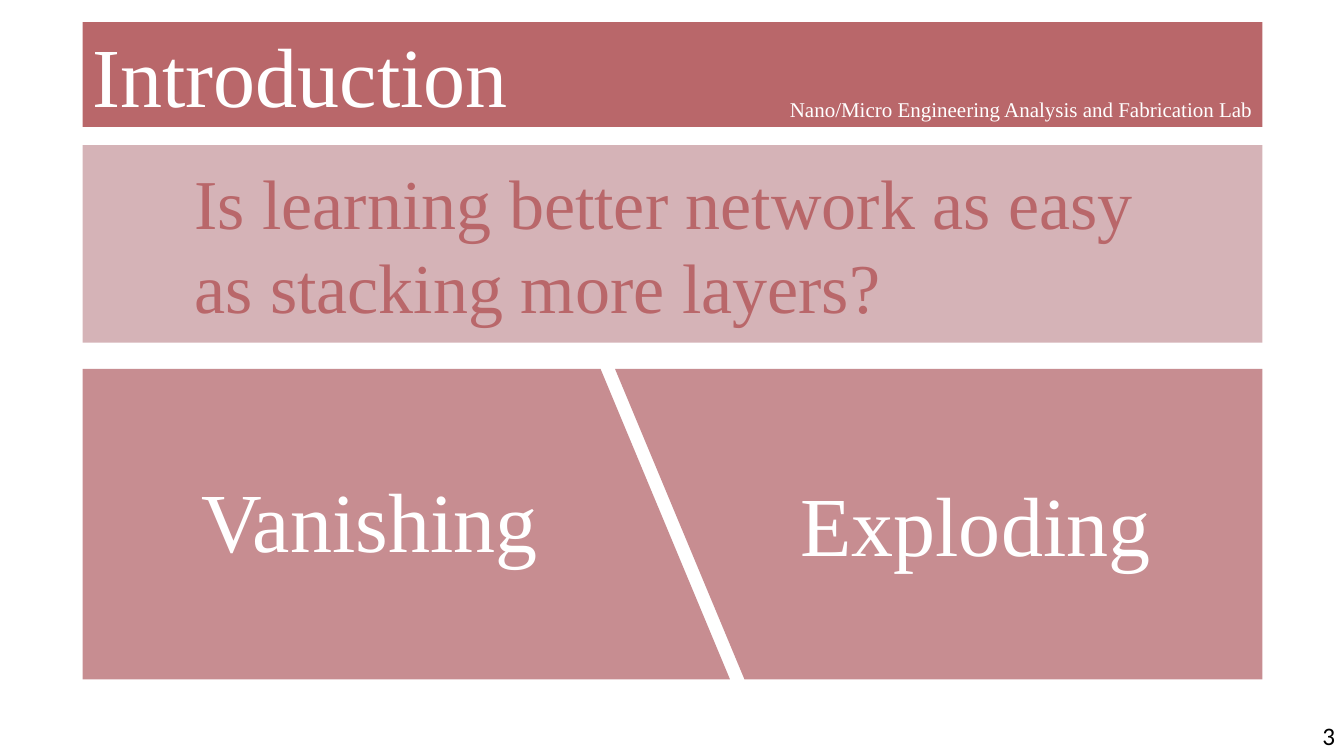
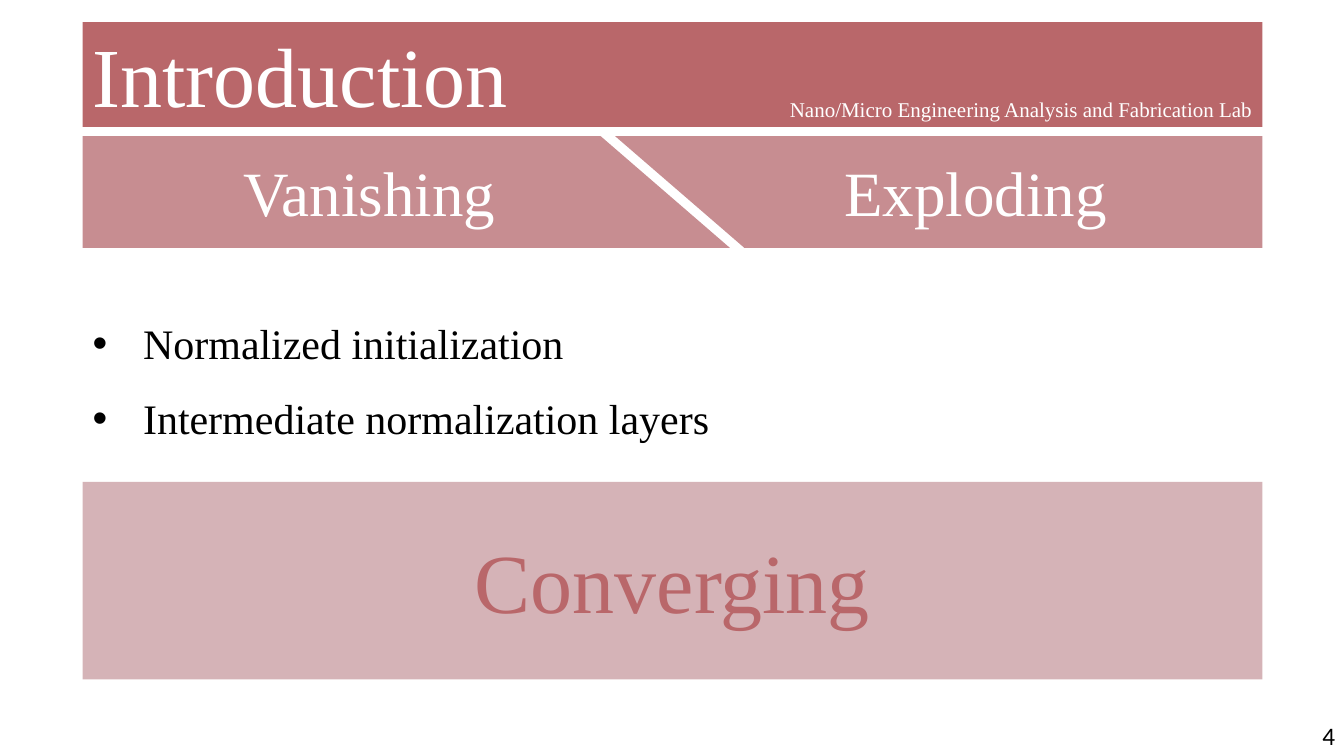
from lxml.etree import SubElement
from pptx import Presentation
from pptx.dml.color import RGBColor
from pptx.enum.shapes import MSO_SHAPE
from pptx.enum.text import MSO_AUTO_SIZE, PP_ALIGN
from pptx.oxml.ns import qn
from pptx.util import Inches, Pt

ROSE, MID_ROSE, PALE_ROSE = "B9676A", "C78D91", "D5B3B7"
WHITE, BLACK = "FFFFFF", "000000"
SERIF, SANS = "Times New Roman", "Calibri"
LEFT, WIDTH = 0.82, 11.7
PANEL_WIDTH = 6.42


def add_block(slide, preset, box, fill, rotation=0):
    block = slide.shapes.add_shape(preset, *map(Inches, box))
    block.rotation = rotation
    block.shadow.inherit = False
    block.fill.solid()
    block.fill.fore_color.rgb = RGBColor.from_string(fill)
    block.line.fill.background()


def add_text(slide, box, lines, size, color, align=PP_ALIGN.LEFT, font=SERIF):
    frame = slide.shapes.add_textbox(*map(Inches, box)).text_frame
    frame.word_wrap = True
    frame.auto_size = MSO_AUTO_SIZE.SHAPE_TO_FIT_TEXT
    frame.text = "\n".join(lines)
    for paragraph in frame.paragraphs:
        paragraph.alignment = align
        for run in paragraph.runs:
            for name, value in {"size": Pt(size), "name": font}.items():
                setattr(run.font, name, value)
            run.font.color.rgb = RGBColor.from_string(color)
    return frame


prs = Presentation()
prs.slide_width, prs.slide_height = Inches(13.33), Inches(7.5)

pages = [
    {"number": "3", "panel_top": 3.66, "panel_height": 3.08, "size": 60,
     "label_height": 1.11, "label_tops": (4.6, 4.64), "callout_top": 1.44,
     "callout": "Is learning better network as easy as stacking more layers?",
     "callout_text": (1.53, 1.78, 50, PP_ALIGN.LEFT), "remedies": []},
    {"number": "4", "panel_top": 1.35, "panel_height": 1.11, "size": 45,
     "label_height": 0.86, "label_tops": (1.47, 1.47), "callout_top": 4.78,
     "callout": "Converging",
     "callout_text": (5.2, 1.11, 60, PP_ALIGN.CENTER),
     "remedies": ["Normalized initialization", "Intermediate normalization layers"]},
]
gradients = [("Vanishing", LEFT, 1.35, 90),
             ("Exploding", LEFT + WIDTH - PANEL_WIDTH, 7.36, 270)]

for page in pages:
    slide = prs.slides.add_slide(prs.slide_layouts[6])

    add_block(slide, MSO_SHAPE.RECTANGLE, (LEFT, 0.22, WIDTH, 1.04), ROSE)
    add_text(slide, (LEFT, 0.18, 8.16, 1.11), ["Introduction"], 60, WHITE)
    add_text(slide, (5.38, 0.91, 7.14, 0.35),
             ["Nano/Micro Engineering Analysis and Fabrication Lab"],
             15, WHITE, PP_ALIGN.RIGHT)

    height = page["panel_height"]
    turn_offset = (PANEL_WIDTH - height) / 2
    for (label, panel_left, label_left, rotation), label_top in zip(gradients, page["label_tops"]):
        add_block(slide, MSO_SHAPE.FLOWCHART_MANUAL_INPUT,
                  (panel_left + turn_offset, page["panel_top"] - turn_offset, height, PANEL_WIDTH),
                  MID_ROSE, rotation)
        add_text(slide, (label_left, label_top, 4.63, page["label_height"]),
                 [label], page["size"], WHITE, PP_ALIGN.CENTER)

    if page["remedies"]:
        remedies = add_text(slide, (LEFT, 2.85, 7.58, 1.54), page["remedies"], 30, BLACK)
        for paragraph in remedies.paragraphs:
            properties = paragraph._p.get_or_add_pPr()
            properties.set("marL", str(Inches(0.5)))
            properties.set("indent", str(-Inches(0.5)))
            SubElement(properties, qn("a:buFont"), typeface="Arial")
            SubElement(properties, qn("a:buChar"), char="•")
            paragraph.line_spacing = 1.5

    add_block(slide, MSO_SHAPE.RECTANGLE, (LEFT, page["callout_top"], WIDTH, 1.96), PALE_ROSE)
    text_top, text_height, text_size, align = page["callout_text"]
    add_text(slide, (1.83, text_top, 9.68, text_height), [page["callout"]], text_size, ROSE, align)

    add_text(slide, (12.67, 7.1, 0.67, 0.4), [page["number"]], 18, BLACK, PP_ALIGN.RIGHT, SANS)

prs.save("out.pptx")
